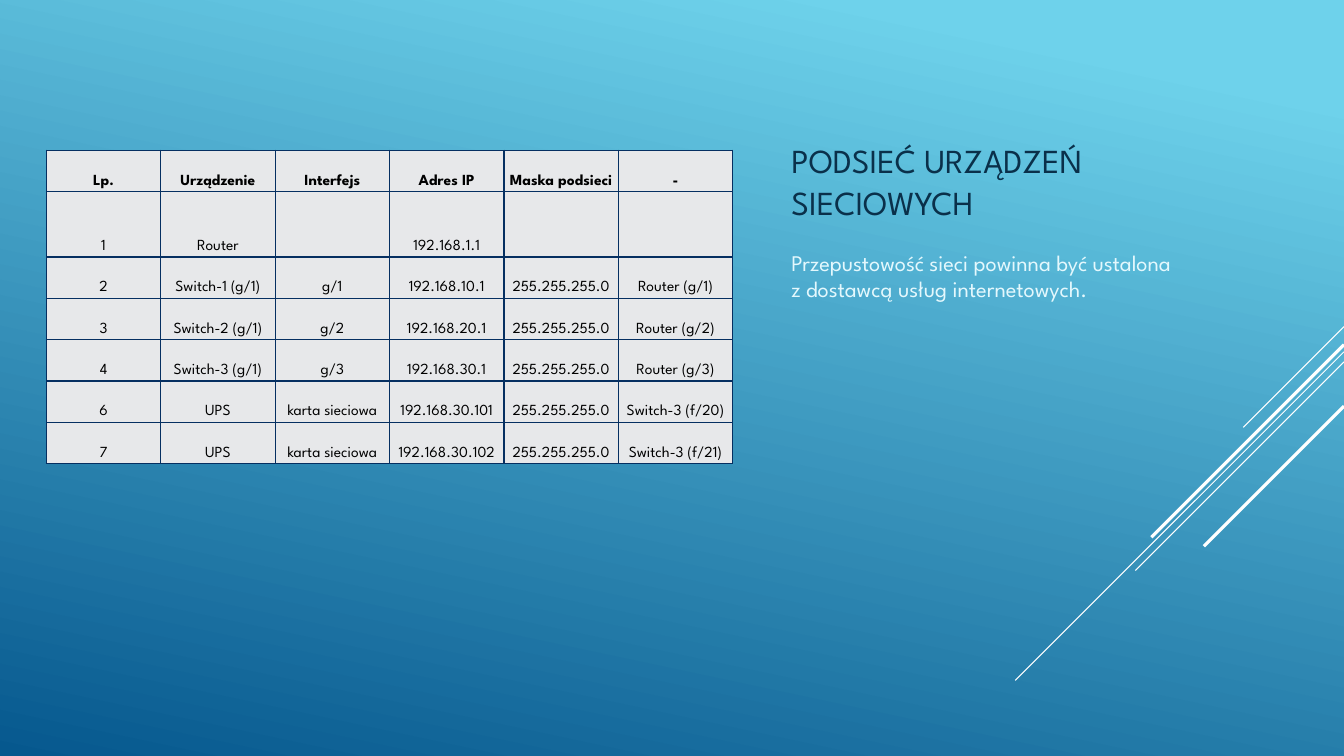
from lxml.etree import SubElement
from pptx import Presentation
from pptx.dml.color import RGBColor
from pptx.enum.shapes import MSO_CONNECTOR
from pptx.enum.text import MSO_ANCHOR, MSO_AUTO_SIZE, PP_ALIGN
from pptx.oxml.ns import qn
from pptx.util import Inches, Pt

FONT = "League Spartan"
COLORS = {
    "sky": "6ED2EB", "deep": "06588E", "stripe": "FFFFFF", "title": "0A304A",
    "note": "E4F8FD", "cell": "E7E8EA", "border": "052F61", "cell_text": "000000",
}


def color(name):
    return RGBColor.from_string(COLORS[name])


def style(paragraph, size, color_name, align, bold=False):
    paragraph.alignment = align
    paragraph.font.name = FONT
    paragraph.font.size = Pt(size)
    paragraph.font.bold = bold
    paragraph.font.color.rgb = color(color_name)


prs = Presentation()
prs.slide_width, prs.slide_height = Inches(13.33), Inches(7.5)
slide = prs.slides.add_slide(prs.slide_layouts[5])

# Background
backdrop = slide.background.fill
backdrop.gradient()
backdrop.gradient_angle = 258
for stop, (name, position) in zip(backdrop.gradient_stops, [("sky", 0.1), ("deep", 1)]):
    stop.color.rgb = color(name)
    stop.position = position

# Diagonal stripes, each running at 45° from the right edge: top, length, weight
stripes = [
    (3.24, 1, 0.75), (3.49, 3.26, 0.75), (3.59, 2.07, 0.75),
    (3.42, 1.91, 2.25), (4.03, 1.39, 2.25),
]
for top, run, weight in stripes:
    stripe = slide.shapes.add_connector(
        MSO_CONNECTOR.STRAIGHT, Inches(13.33), Inches(top),
        Inches(13.33 - run), Inches(top + run))
    stripe.line.color.rgb = color("stripe")
    stripe.line.width = Pt(weight)
    SubElement(stripe._element.spPr, qn("a:effectLst"))

# Title
title = slide.shapes.title
title.left, title.top, title.width, title.height = map(Inches, (7.75, 0.75, 4, 1.5))
title.text_frame.text = "PODSIEĆ URZĄDZEŃ SIECIOWYCH"
title.text_frame.word_wrap = True
title.text_frame.auto_size = MSO_AUTO_SIZE.NONE
title.text_frame.vertical_anchor = MSO_ANCHOR.BOTTOM
heading = title.text_frame.paragraphs[0]
heading.line_spacing = Pt(29.3)
style(heading, 24, "title", PP_ALIGN.LEFT)

# Address table
devices = [
    ["Lp.", "Urządzenie", "Interfejs", "Adres IP", "Maska podsieci", "-"],
    ["1", "Router", "", "192.168.1.1", "", ""],
    ["2", "Switch-1 (g/1)", "g/1", "192.168.10.1", "255.255.255.0", "Router (g/1)"],
    ["3", "Switch-2 (g/1)", "g/2", "192.168.20.1", "255.255.255.0", "Router (g/2)"],
    ["4", "Switch-3 (g/1)", "g/3", "192.168.30.1", "255.255.255.0", "Router (g/3)"],
    ["6", "UPS", "karta sieciowa", "192.168.30.101", "255.255.255.0", "Switch-3 (f/20)"],
    ["7", "UPS", "karta sieciowa", "192.168.30.102", "255.255.255.0", "Switch-3 (f/21)"],
]
addresses = slide.shapes.add_table(
    len(devices), len(devices[0]), Inches(0.46), Inches(1.49), Inches(6.81), Inches(3.12)).table
for row_index, device in enumerate(devices):
    addresses.rows[row_index].height = Inches(0.65 if row_index == 1 else 0.41)
    for column_index, value in enumerate(device):
        cell = addresses.cell(row_index, column_index)
        cell.text = value
        cell.vertical_anchor = MSO_ANCHOR.BOTTOM
        cell.margin_left = cell.margin_right = Inches(0.03)
        cell.margin_top = cell.margin_bottom = Inches(0.03)
        style(cell.text_frame.paragraphs[0], 11, "cell_text", PP_ALIGN.CENTER,
              bold=row_index == 0)
        properties = cell._tc.get_or_add_tcPr()
        for side in ("lnL", "lnR", "lnT", "lnB"):
            border = SubElement(properties, qn(f"a:{side}"), w=str(Pt(1)))
            border_fill = SubElement(border, qn("a:solidFill"))
            SubElement(border_fill, qn("a:srgbClr"), val=COLORS["border"])
        cell.fill.solid()
        cell.fill.fore_color.rgb = color("cell")

# Note under the title
note = slide.shapes.add_textbox(Inches(7.75), Inches(2.42), Inches(4), Inches(2.29)).text_frame
note.word_wrap = True
note.text = "Przepustowość sieci powinna być ustalona z dostawcą usług internetowych."
note.paragraphs[0].line_spacing = Pt(19)
note.paragraphs[0].space_after = Pt(6)
style(note.paragraphs[0], 16, "note", PP_ALIGN.LEFT)

prs.save("out.pptx")
